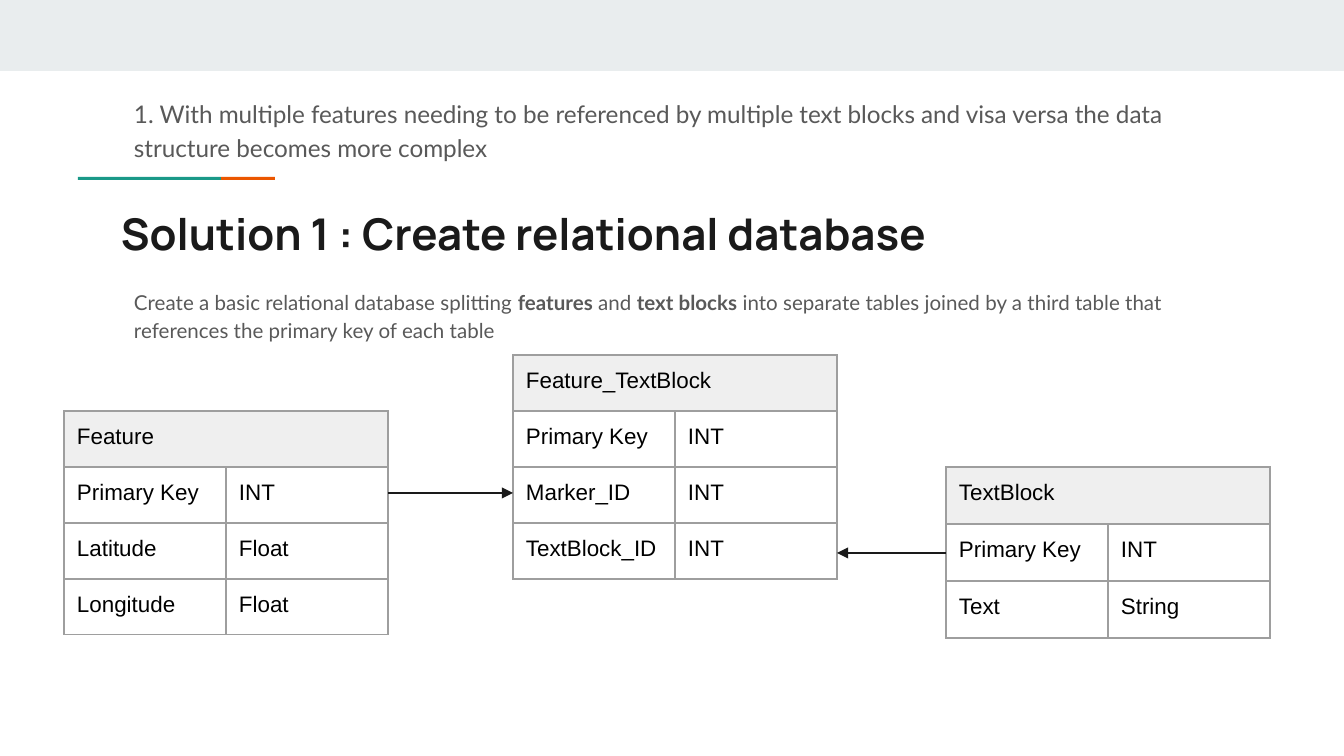
from dataclasses import dataclass

from lxml import etree
from pptx import Presentation
from pptx.dml.color import RGBColor
from pptx.enum.shapes import MSO_CONNECTOR, MSO_SHAPE
from pptx.enum.text import MSO_ANCHOR
from pptx.oxml.ns import qn
from pptx.util import Emu, Pt

RECTANGLE = MSO_SHAPE.RECTANGLE
STRAIGHT = MSO_CONNECTOR.STRAIGHT
TOP = MSO_ANCHOR.TOP
EMU_PER_PX = 914400 / 134.4
PAGE_WIDTH, PAGE_HEIGHT = 1344, 756
INSET = 13


@dataclass(frozen=True)
class Theme:
    band: str = "E9EDEE"
    teal: str = "1A9988"
    orange: str = "EB5600"
    ink: str = "1A1A1A"
    body: str = "595959"
    cell_text: str = "000000"
    header_fill: str = "EFEFEF"
    border: str = "9E9E9E"
    title_font: str = "Manrope"
    body_font: str = "Lato"
    table_font: str = "Arial"
    title_size: float = 23.4
    lead_size: float = 13
    body_size: float = 11
    table_size: float = 12
    line_width: float = 0.75


THEME = Theme()


def px(length):
    return Emu(round(length * EMU_PER_PX))


def rgb(color):
    return RGBColor.from_string(color)


def write_text(frame, text, font, size, color, bold=False, spacing=None):
    """Fill a text frame; text is a string or a list of (words, bold) spans."""
    frame.word_wrap = True
    para = frame.paragraphs[0]
    if spacing:
        para.line_spacing = spacing
    spans = [(text, bold)] if isinstance(text, str) else text
    for words, heavy in spans:
        span = para.add_run()
        span.text = words
        span.font.name = font
        span.font.size = Pt(size)
        span.font.bold = heavy
        span.font.color.rgb = rgb(color)


def add_text(page, box, text, **text_format):
    frame = page.shapes.add_textbox(*map(px, box)).text_frame
    frame.margin_left = frame.margin_right = px(INSET)
    frame.margin_top = frame.margin_bottom = px(INSET)
    frame.vertical_anchor = TOP
    write_text(frame, text, **text_format)


def add_bar(page, box, color):
    bar = page.shapes.add_shape(RECTANGLE, *map(px, box))
    bar.shadow.inherit = False
    bar.fill.solid()
    bar.fill.fore_color.rgb = rgb(color)
    bar.line.fill.background()


def add_accent(page, box):
    """Two-tone rule: teal, then a shorter orange end."""
    left, top, width, height = box
    orange_width = 54
    teal_width = width - orange_width
    add_bar(page, (left, top, teal_width, height), THEME.teal)
    add_bar(page, (left + teal_width, top, orange_width, height), THEME.orange)


def add_borders(cell):
    properties = cell._tc.get_or_add_tcPr()
    for index, side in enumerate(("lnL", "lnR", "lnT", "lnB")):
        line = etree.Element(qn(f"a:{side}"), w=str(Pt(THEME.line_width)))
        fill = etree.SubElement(line, qn("a:solidFill"))
        etree.SubElement(fill, qn("a:srgbClr"), val=THEME.border)
        properties.insert(index, line)


def add_entity(page, box, name, fields):
    """Database table: a merged name row above rows of field and type."""
    left, top, width, height = box
    rows = [(name, ""), *fields]
    table = page.shapes.add_table(len(rows), 2, *map(px, box)).table
    table.first_row = table.horz_banding = False
    for column in table.columns:
        column.width = px(width / 2)
    for row in table.rows:
        row.height = px(height / len(rows))
    table.cell(0, 0).merge(table.cell(0, 1))
    for row_index, values in enumerate(rows):
        for column_index, value in enumerate(values):
            cell = table.cell(row_index, column_index)
            cell.margin_left = cell.margin_right = px(INSET)
            cell.margin_top = cell.margin_bottom = px(INSET)
            cell.vertical_anchor = TOP
            if row_index == 0:
                cell.fill.solid()
                cell.fill.fore_color.rgb = rgb(THEME.header_fill)
            else:
                cell.fill.background()
            add_borders(cell)
            if value:
                write_text(cell.text_frame, value, font=THEME.table_font,
                           size=THEME.table_size, color=THEME.cell_text)


def add_arrow(page, start_x, end_x, y):
    arrow = page.shapes.add_connector(STRAIGHT, px(start_x), px(y), px(end_x), px(y))
    arrow.line.color.rgb = rgb(THEME.ink)
    arrow.line.width = Pt(THEME.line_width)
    etree.SubElement(arrow.line._get_or_add_ln(), qn("a:tailEnd"), type="triangle")
    etree.SubElement(arrow._element.spPr, qn("a:effectLst"))


def add_heading(page, box):
    """Band, problem statement, accent rule, title and explanation."""
    left, top, width, _ = box
    add_bar(page, (left, top, width, 71), THEME.band)
    add_accent(page, (left + 78, top + 177, 197, 3))
    add_text(page, (left + 108, top + 194, 1130, 79),
             "Solution 1 : Create relational database", font=THEME.title_font,
             size=THEME.title_size, color=THEME.ink, bold=True)
    add_text(page, (left + 121, top + 273, 1117, 82), [
        ("Create a basic relational database splitting ", False),
        ("features", True),
        (" and ", False),
        ("text blocks", True),
        (" into separate tables joined by a third table that "
         "references the primary key of each table", False),
    ], font=THEME.body_font, size=THEME.body_size, color=THEME.body, spacing=1.15)
    add_text(page, (left + 121, top + 82, 1102, 90),
             "1. With multiple features needing to be referenced by multiple text "
             "blocks and visa versa the data structure becomes more complex",
             font=THEME.body_font, size=THEME.lead_size, color=THEME.body,
             spacing=1.15)


def add_schema(page, box):
    """Three tables; arrows lead from the outer ones to the joining one."""
    left, top, width, _ = box
    entity_width, row_height = 324, 56
    join_left = left + 449
    text_left = left + width - entity_width
    add_entity(page, (left, top + row_height, entity_width, 4 * row_height), "Feature",
               [("Primary Key", "INT"), ("Latitude", "Float"), ("Longitude", "Float")])
    add_entity(page, (text_left, top + 2 * row_height, entity_width, 171), "TextBlock",
               [("Primary Key", "INT"), ("Text", "String")])
    add_entity(page, (join_left, top, entity_width, 4 * row_height), "Feature_TextBlock",
               [("Primary Key", "INT"), ("Marker_ID", "INT"), ("TextBlock_ID", "INT")])
    add_arrow(page, left + entity_width, join_left, top + 138)
    add_arrow(page, text_left, join_left + entity_width, top + 198)


def main():
    deck = Presentation()
    deck.slide_width, deck.slide_height = px(PAGE_WIDTH), px(PAGE_HEIGHT)
    page = deck.slides.add_slide(deck.slide_layouts[6])
    add_heading(page, (0, 0, PAGE_WIDTH, 355))
    add_schema(page, (64, 355, 1206, 283))
    deck.save("out.pptx")


if __name__ == "__main__":
    main()
